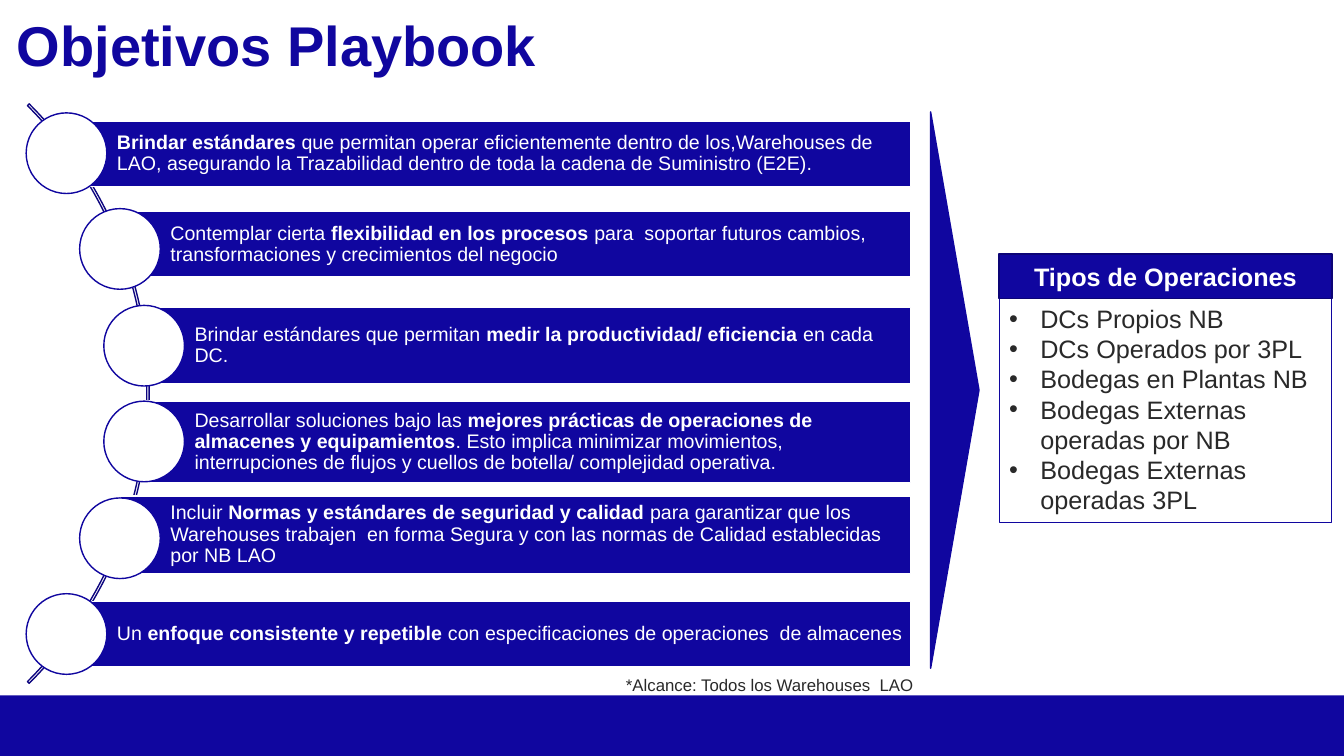
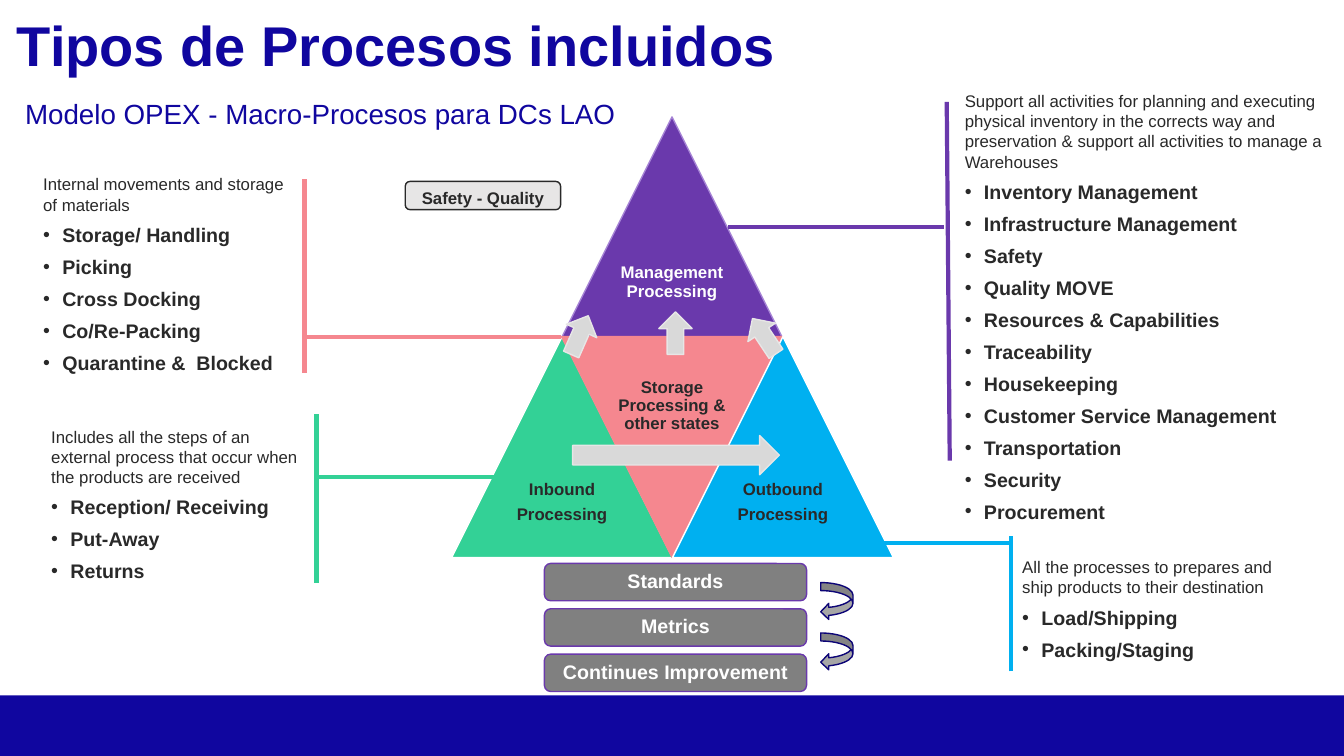
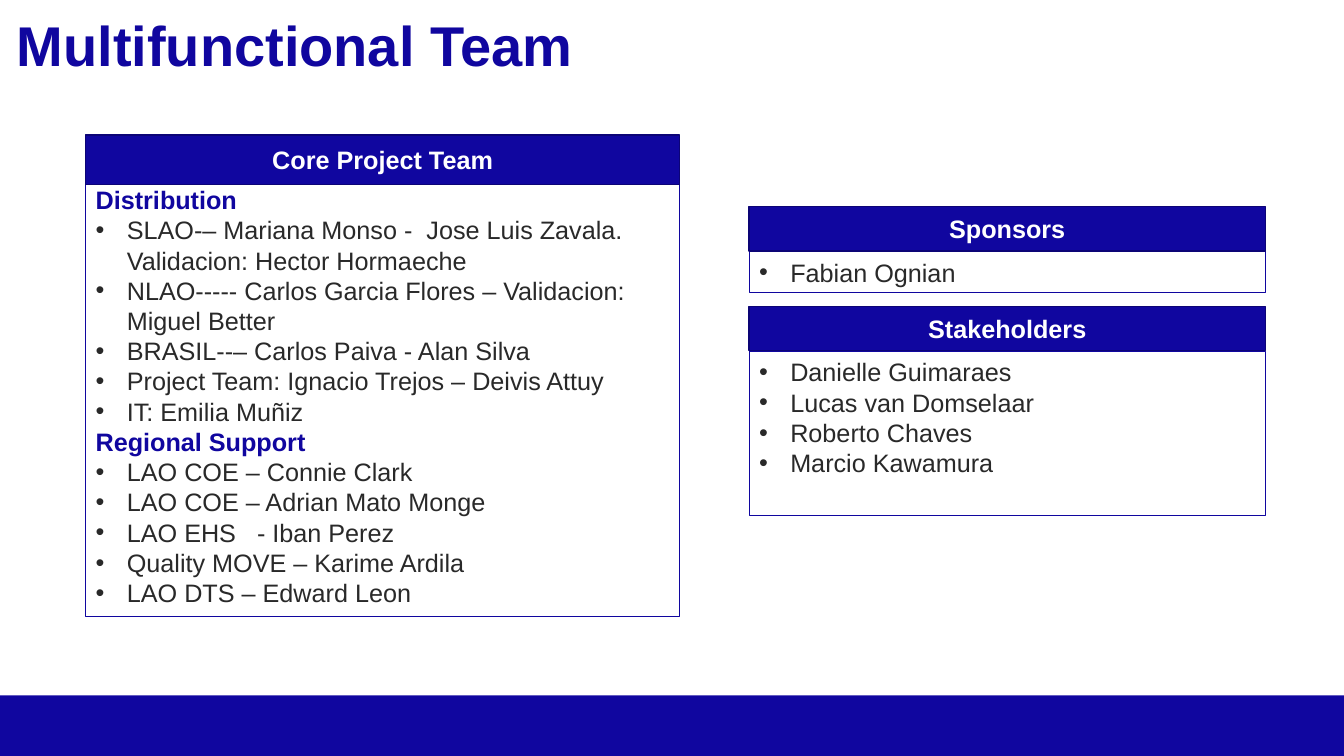
from dataclasses import dataclass

from lxml import etree
from pptx import Presentation
from pptx.dml.color import RGBColor
from pptx.enum.shapes import MSO_CONNECTOR, MSO_SHAPE
from pptx.enum.text import MSO_ANCHOR, PP_ALIGN
from pptx.oxml.ns import qn
from pptx.util import Emu, Pt

PX = 9144  # EMU per px, 100 px to the inch
RECT, ROUNDED = MSO_SHAPE.RECTANGLE, MSO_SHAPE.ROUNDED_RECTANGLE
OVAL, TRIANGLE = MSO_SHAPE.OVAL, MSO_SHAPE.ISOSCELES_TRIANGLE
BLOCK_ARC, RIGHT_ARROW = MSO_SHAPE.BLOCK_ARC, MSO_SHAPE.RIGHT_ARROW
CURVED_ARROW = MSO_SHAPE.CURVED_LEFT_ARROW
STRAIGHT = MSO_CONNECTOR.STRAIGHT
TOP, MIDDLE = MSO_ANCHOR.TOP, MSO_ANCHOR.MIDDLE
LEFT, CENTER = PP_ALIGN.LEFT, PP_ALIGN.CENTER


@dataclass(frozen=True)
class Theme:
    font: str = "Arial"
    navy: str = "10069F"
    navy_edge: str = "0C0476"
    arc_edge: str = "0D057F"
    white: str = "FFFFFF"
    ink: str = "292929"
    purple: str = "6A39AC"
    lilac: str = "A582D5"
    green: str = "33D196"
    pink: str = "F5878F"
    sky: str = "00B0F0"
    dark_grey: str = "808080"
    mid_grey: str = "A6A6A6"
    arrow_grey: str = "D9D9D9"
    pale_grey: str = "E7E6E6"
    title: float = 40
    subtitle: float = 19.8
    panel: float = 18
    body: float = 14
    small: float = 12


THEME = Theme()


@dataclass
class Para:
    """One paragraph: runs are (text, bold) pairs, indent is the bullet's."""
    runs: list
    size: float
    color: str
    align: int = LEFT
    spacing: float = 1.0
    before: float = 0
    after: float = 0
    indent: int = 0


class Deck:
    def __init__(self, width, height):
        self.prs = Presentation()
        self.prs.slide_width, self.prs.slide_height = Emu(width * PX), Emu(height * PX)
        self.width = width
        self.slide = None

    def start(self, title):
        """New slide with the shared footer band and title."""
        self.slide = self.prs.slides.add_slide(self.prs.slide_layouts[6])
        self.shape(RECT, (0, 690, self.width, 60), THEME.navy)
        self.text((7, 13, 1020, 74),
                  [Para([(title, True)], THEME.title, THEME.navy, spacing=0.9)])

    def shape(self, kind, box, fill=None, line=None, weight=1, turn=0):
        item = self.slide.shapes.add_shape(kind, *(Emu(v * PX) for v in box))
        item.shadow.inherit = False
        item.rotation = turn
        if fill:
            item.fill.solid()
            item.fill.fore_color.rgb = RGBColor.from_string(fill)
        else:
            item.fill.background()
        if line:
            item.line.color.rgb = RGBColor.from_string(line)
            item.line.width = Pt(weight)
        else:
            item.line.fill.background()
        return item

    def text(self, box, paras, anchor=TOP, insets=(10, 5, 10, 5), wrap=True):
        item = self.slide.shapes.add_textbox(*(Emu(v * PX) for v in box))
        self.set_text(item, paras, anchor, insets, wrap)

    def set_text(self, item, paras, anchor=MIDDLE, insets=(10, 5, 10, 5), wrap=True):
        frame = item.text_frame
        frame.word_wrap = wrap
        frame.vertical_anchor = anchor
        (frame.margin_left, frame.margin_top,
         frame.margin_right, frame.margin_bottom) = (Emu(v * PX) for v in insets)
        for i, para in enumerate(paras):
            target = frame.add_paragraph() if i else frame.paragraphs[0]
            target.alignment = para.align
            target.line_spacing = para.spacing
            target.space_before, target.space_after = Pt(para.before), Pt(para.after)
            if para.indent:
                self.bullet(target, para.indent)
            for content, bold in para.runs:
                run = target.add_run()
                run.text = content
                run.font.name, run.font.size = THEME.font, Pt(para.size)
                run.font.bold = bold
                run.font.color.rgb = RGBColor.from_string(para.color)

    def bullet(self, paragraph, indent):
        props = paragraph._p.get_or_add_pPr()
        props.set("marL", str(indent * PX))
        props.set("indent", str(-indent * PX))
        etree.SubElement(props, qn("a:buFont")).set("typeface", THEME.font)
        etree.SubElement(props, qn("a:buChar")).set("char", "•")

    def line(self, ends, color):
        item = self.slide.shapes.add_connector(STRAIGHT, *(Emu(v * PX) for v in ends))
        item.line.color.rgb = RGBColor.from_string(color)
        item.line.width = Pt(3)
        etree.SubElement(item._element.spPr, qn("a:effectLst"))

    def panel(self, box, head_top, head_height, heading, rows):
        """Outlined list under a filled heading; a row is (text, is_subheading)."""
        left, _, width, _ = box
        body = self.shape(RECT, box, line=THEME.navy, weight=0.75)
        self.set_text(body, [
            Para([(row, sub)], THEME.panel, THEME.navy if sub else THEME.ink,
                 indent=0 if sub else 31)
            for row, sub in rows], TOP)
        head = self.shape(RECT, (left, head_top, width, head_height),
                          THEME.navy, THEME.navy_edge)
        self.set_text(head, [Para([(heading, True)], THEME.panel, THEME.white, CENTER)])


def bullets(*items):
    return [(item, False) for item in items]


def label(lines, color, size=THEME.small):
    return [Para([(row, True)], size, color, CENTER, 0.9,
                 after=5 if row != lines[-1] else 0) for row in lines]


def objectives_slide(deck):
    deck.start("Objetivos Playbook")

    # Arc of objectives: circle left, bar top, bar height, (lead, key, rest)
    arc = deck.shape(BLOCK_ARC, (-665, -16, 813, 813), line=THEME.arc_edge)
    for i, value in enumerate((189, 27, 0.003)):
        arc.adjustments[i] = value
    objectives = [
        (26, 120, 65, ("", "Brindar estándares ",
                       "que permitan operar eficientemente dentro de los,Warehouses de LAO, "
                       "asegurando la Trazabilidad dentro de toda la cadena de Suministro (E2E).")),
        (79, 210, 65, ("Contemplar cierta ", "flexibilidad en los procesos ",
                       "para  soportar futuros cambios, transformaciones y crecimientos "
                       "del negocio")),
        (103, 305, 76, ("Brindar estándares que permitan ",
                        "medir la productividad/ eficiencia ", "en cada DC.")),
        (103, 398, 81, ("Desarrollar soluciones bajo las ",
                        "mejores prácticas de operaciones de almacenes y equipamientos",
                        ". Esto implica minimizar movimientos, interrupciones de flujos y "
                        "cuellos de botella/ complejidad operativa.")),
        (79, 492, 77, ("Incluir ", "Normas y estándares de seguridad y calidad ",
                       "para garantizar que los Warehouses trabajen  en forma Segura y con "
                       "las normas de Calidad establecidas por NB LAO")),
        (26, 597, 64, ("Un ", "enfoque consistente y repetible ",
                       "con especificaciones de operaciones  de almacenes")),
    ]
    bar_right, circle, circle_top, circle_pitch = 903, 80, 112, 95.4
    for i, (left, top, height, (lead, key, rest)) in enumerate(objectives):
        bar_left = left + circle // 2
        bar = deck.shape(RECT, (bar_left, top, bar_right - bar_left, height),
                         THEME.navy, THEME.white)
        runs = [run for run in ((lead, False), (key, True), (rest, False)) if run[0]]
        deck.set_text(bar, [Para(runs, THEME.body, THEME.white, spacing=0.9)],
                      insets=(50, 4, 4, 4))
        deck.shape(OVAL, (left, round(circle_top + i * circle_pitch), circle, circle),
                   THEME.white, THEME.navy)

    # Pointer to the operation types
    deck.shape(TRIANGLE, (671, 363, 552, 48), THEME.navy, THEME.navy, turn=90)
    deck.panel((991, 296, 330, 222), 252, 44, "Tipos de Operaciones", bullets(
        "DCs Propios NB", "DCs Operados por 3PL", "Bodegas en Plantas NB",
        "Bodegas Externas operadas por NB", "Bodegas Externas operadas 3PL"))
    deck.text((611, 664, 308, 28),
              [Para([("*Alcance: Todos los Warehouses  LAO", False)],
                    THEME.small, THEME.ink)], wrap=False)


def processes_slide(deck):
    deck.start("Tipos de Procesos incluidos")
    deck.text((15, 95, 1311, 45),
              [Para([("Modelo OPEX - Macro-Procesos para DCs LAO", False)],
                    THEME.subtitle, THEME.navy, spacing=0.9)])

    # Pyramid
    side, tight = 219, (1, 1, 1, 1)
    pyramid = [
        (557, 116, THEME.purple, THEME.lilac, THEME.white, ["Management Processing"]),
        (448, 334, THEME.green, THEME.white, THEME.ink, ["Inbound", "Processing"]),
        (557, 334, THEME.pink, THEME.pink, THEME.ink, None),
        (667, 334, THEME.sky, THEME.white, THEME.ink, ["Outbound", "Processing"]),
    ]
    for left, top, fill, edge, ink, lines in pyramid:
        part = deck.shape(TRIANGLE, (left, top, side, side), fill, edge,
                          turn=0 if lines else 180)
        if lines:
            deck.set_text(part, label(lines, ink), insets=tight)
    deck.text((612, 348, 109, 109),
              label(["Storage Processing & other states"], THEME.ink), MIDDLE, tight)

    # Process families: colour, text box, link, spine, summary, processes
    families = [
        (THEME.purple, (947, 158, 385, 293), (722, 225, 936, 225), (942, 457, 939, 101),
         "Support all activities for planning and executing physical inventory in the "
         "corrects way and preservation & support all activities to manage a Warehouses",
         ["Inventory Management", "Infrastructure Management", "Safety", "Quality MOVE",
          "Resources & Capabilities", "Traceability", "Housekeeping",
          "Customer Service Management", "Transportation", "Security", "Procurement"]),
        (THEME.pink, (33, 156, 274, 232), (302, 334, 556, 334), (302, 370, 302, 178),
         "Internal movements and storage of materials",
         ["Storage/ Handling", "Picking", "Cross Docking", "Co/Re-Packing",
          "Quarantine &  Blocked"]),
        (THEME.green, (41, 411, 275, 179), (315, 473, 492, 473), (314, 578, 314, 411),
         "Includes all the steps of an external process that occur when the products "
         "are received",
         ["Reception/ Receiving", "Put-Away", "Returns"]),
        (THEME.sky, (1004, 528, 289, 152), (862, 539, 1004, 539), (1003, 666, 1003, 532),
         "All the processes to prepares and ship products to their destination",
         ["Load/Shipping", "Packing/Staging"]),
    ]
    for color, box, link, spine, summary, processes in families:
        paras = [Para([(summary, False)], THEME.small, THEME.ink, before=6)]
        paras += [Para([(process, True)], THEME.body, THEME.ink, before=6, indent=19)
                  for process in processes]
        deck.text(box, paras, MIDDLE)
        deck.line(link, color)
        deck.line(spine, color)

    # Foundations and the loops between them
    for i, foundation in enumerate(("Standards", "Metrics", "Continues Improvement")):
        block = deck.shape(ROUNDED, (540, 559 + 45 * i, 260, 37),
                           THEME.dark_grey, THEME.purple)
        deck.set_text(block, label([foundation], THEME.white, THEME.body), insets=tight)
    for top in (578, 628):
        deck.shape(CURVED_ARROW, (814, top, 32, 37), THEME.mid_grey, THEME.navy_edge)

    # Flow arrows
    for box, turn in (((568, 432, 205, 39), 0), ((649, 314, 42, 33), 270),
                      ((554, 316, 42, 33), 293.8), ((737, 317, 42, 33), 236.2)):
        deck.shape(RIGHT_ARROW, box, THEME.arrow_grey, THEME.pale_grey, turn=turn)

    # Cross-cutting tag
    tag = deck.shape(ROUNDED, (402, 180, 154, 28), THEME.pale_grey, THEME.ink)
    deck.set_text(tag, [Para([("Safety - Quality", True)], THEME.small, THEME.ink, CENTER)],
                  TOP)


def team_slide(deck):
    deck.start("Multifunctional Team")
    core = [("Distribution", True)] + bullets(
        "SLAO-– Mariana Monso -  Jose Luis Zavala. Validacion: Hector Hormaeche",
        "NLAO----- Carlos Garcia Flores – Validacion: Miguel Better",
        "BRASIL--– Carlos Paiva - Alan Silva",
        "Project Team: Ignacio Trejos – Deivis Attuy",
        "IT: Emilia Muñiz")
    core += [("Regional Support", True)] + bullets(
        "LAO COE – Connie Clark", "LAO COE – Adrian Mato Monge",
        "LAO EHS   - Iban Perez", "Quality MOVE – Karime Ardila",
        "LAO DTS – Edward Leon")
    deck.panel((85, 178, 589, 434), 134, 49, "Core Project Team", core)
    deck.panel((743, 250, 512, 40), 205, 44, "Sponsors", bullets("Fabian Ognian"))
    deck.panel((743, 349, 512, 162), 304, 44, "Stakeholders", bullets(
        "Danielle Guimaraes", "Lucas van Domselaar", "Roberto Chaves", "Marcio Kawamura"))


def main():
    deck = Deck(1333, 750)
    objectives_slide(deck)
    processes_slide(deck)
    team_slide(deck)
    deck.prs.save("out.pptx")


if __name__ == "__main__":
    main()
